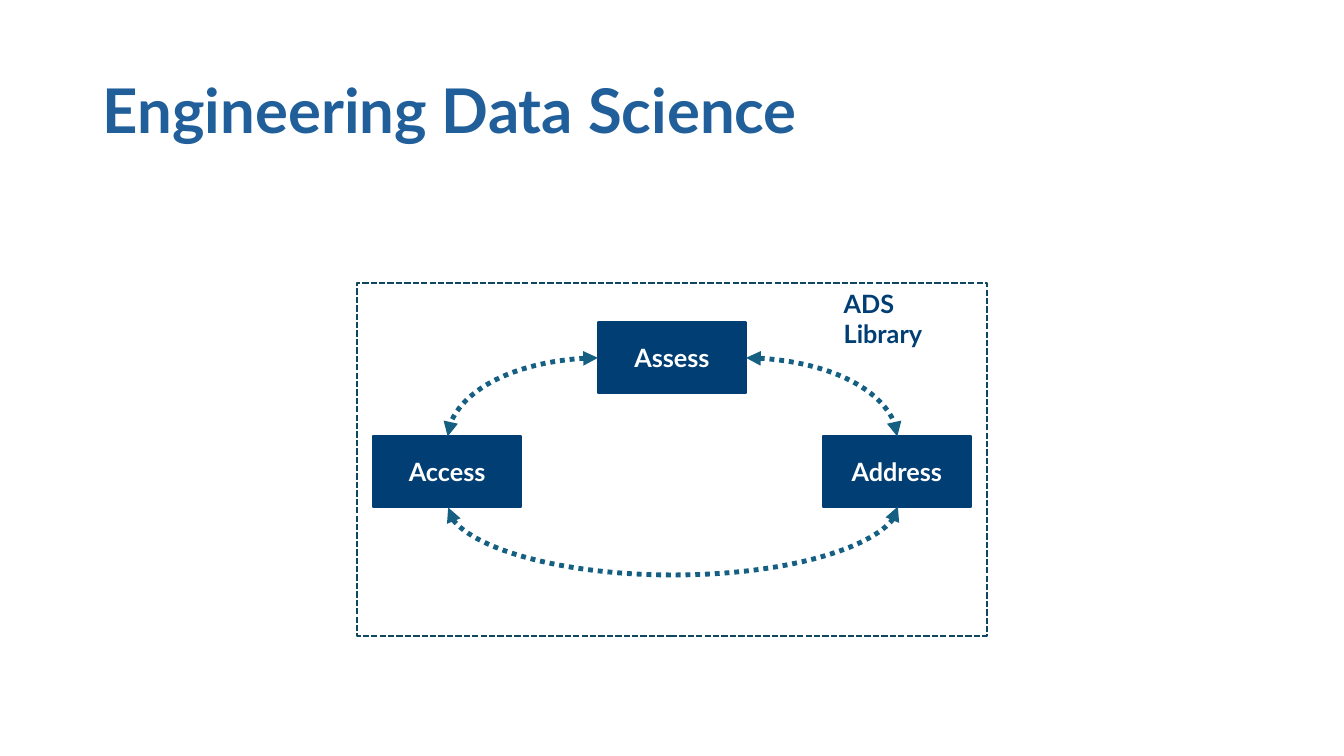
import pptx
import pptx.dml.color
import pptx.enum.dml
import pptx.enum.shapes
import pptx.enum.text
import pptx.oxml.ns
import pptx.util
from pptx.util import Inches

COLORS = {"title": "215F9A", "navy": "003E74", "arrow": "156082",
          "frame": "104760", "white": "FFFFFF"}
ALIGN = pptx.enum.text.PP_ALIGN
ANCHOR = pptx.enum.text.MSO_ANCHOR
DASH = pptx.enum.dml.MSO_LINE
RECTANGLE = pptx.enum.shapes.MSO_SHAPE.RECTANGLE
CURVE = pptx.enum.shapes.MSO_CONNECTOR.CURVE
qn = pptx.oxml.ns.qn


def rgb(name):
    return pptx.dml.color.RGBColor.from_string(COLORS[name])


def write(shape, text, size=18, color="navy", align=ALIGN.LEFT,
          anchor=ANCHOR.MIDDLE, spacing=1.0):
    frame = shape.text_frame
    frame.text = text
    frame.word_wrap = True
    frame.auto_size = pptx.enum.text.MSO_AUTO_SIZE.NONE
    frame.vertical_anchor = anchor
    paragraph = frame.paragraphs[0]
    paragraph.alignment = align
    paragraph.line_spacing = spacing
    font = paragraph.runs[0].font
    font.name, font.size, font.bold = "Lato", pptx.util.Pt(size), True
    font.color.rgb = rgb(color)


prs = pptx.Presentation()
prs.slide_width, prs.slide_height = Inches(13.33), Inches(7.5)
slide = prs.slides.add_slide(prs.slide_layouts[5])

# Title
title = slide.shapes.title
title.left, title.top = Inches(0.92), Inches(0.4)
title.width, title.height = Inches(11.5), Inches(1.45)
write(title, "Engineering Data Science", size=44, color="title", spacing=0.9)

# Three steps of the cycle
STEP_W, STEP_H = 1.47, 0.7
for step, left, top in [("Assess", 5.93, 3.2), ("Access", 3.7, 4.33),
                        ("Address", 8.16, 4.33)]:
    box = slide.shapes.add_shape(RECTANGLE, Inches(left), Inches(top),
                                 Inches(STEP_W), Inches(STEP_H))
    box.shadow.inherit = False
    box.fill.solid()
    box.fill.fore_color.rgb = rgb("navy")
    box.line.color.rgb = rgb("navy")
    box.line.width = pptx.util.Pt(1.5)
    write(box, step, color="white", align=ALIGN.CENTER)

# Dotted curves: Assess to Access, Assess to Address, Address to Access.
# The last is a flat curve turned by 90 degrees, bulging 0.69 inch downwards.
for start, end, preset in [((5.93, 3.55), (4.44, 4.33), "curvedConnector2"),
                           ((7.4, 3.55), (8.9, 4.33), "curvedConnector2"),
                           ((6.67, 2.8), (6.68, 7.26), "curvedConnector3")]:
    curve = slide.shapes.add_connector(CURVE, *map(Inches, start + end))
    curve.line.color.rgb = rgb("arrow")
    curve.line.width = pptx.util.Pt(3.5)
    curve.line.dash_style = DASH.ROUND_DOT
    properties = curve._element.spPr
    line = properties.find(qn("a:ln"))
    for tip in ("a:headEnd", "a:tailEnd"):
        line.append(line.makeelement(qn(tip), {"type": "triangle"}))
    properties.append(properties.makeelement(qn("a:effectLst"), {}))
    geometry = properties.find(qn("a:prstGeom"))
    geometry.set("prst", preset)
    if preset == "curvedConnector3":
        properties.find(qn("a:xfrm")).set("rot", str(90 * 60000))
        guides = geometry.find(qn("a:avLst"))
        guides.append(guides.makeelement(
            qn("a:gd"), {"name": "adj1", "fmla": "val 6900000"}))

# Library frame and its label
library = slide.shapes.add_shape(RECTANGLE, Inches(3.54), Inches(2.81),
                                 Inches(6.25), Inches(3.5))
library.shadow.inherit = False
library.fill.background()
library.line.color.rgb = rgb("frame")
library.line.width = pptx.util.Pt(1.5)
library.line.dash_style = DASH.SQUARE_DOT

library_label = slide.shapes.add_textbox(Inches(8.27), Inches(2.81),
                                         Inches(1.5), Inches(0.4))
write(library_label, "ADS Library", anchor=ANCHOR.TOP)

# Dash presets of the curves and the frame
for shape, dash in [(item, "sysDot") for item in slide.shapes
                    if item.shape_type == pptx.enum.shapes.MSO_SHAPE_TYPE.LINE
                    ] + [(library, "sysDash")]:
    shape._element.spPr.find(qn("a:ln")).find(qn("a:prstDash")).set("val", dash)

prs.save("out.pptx")
